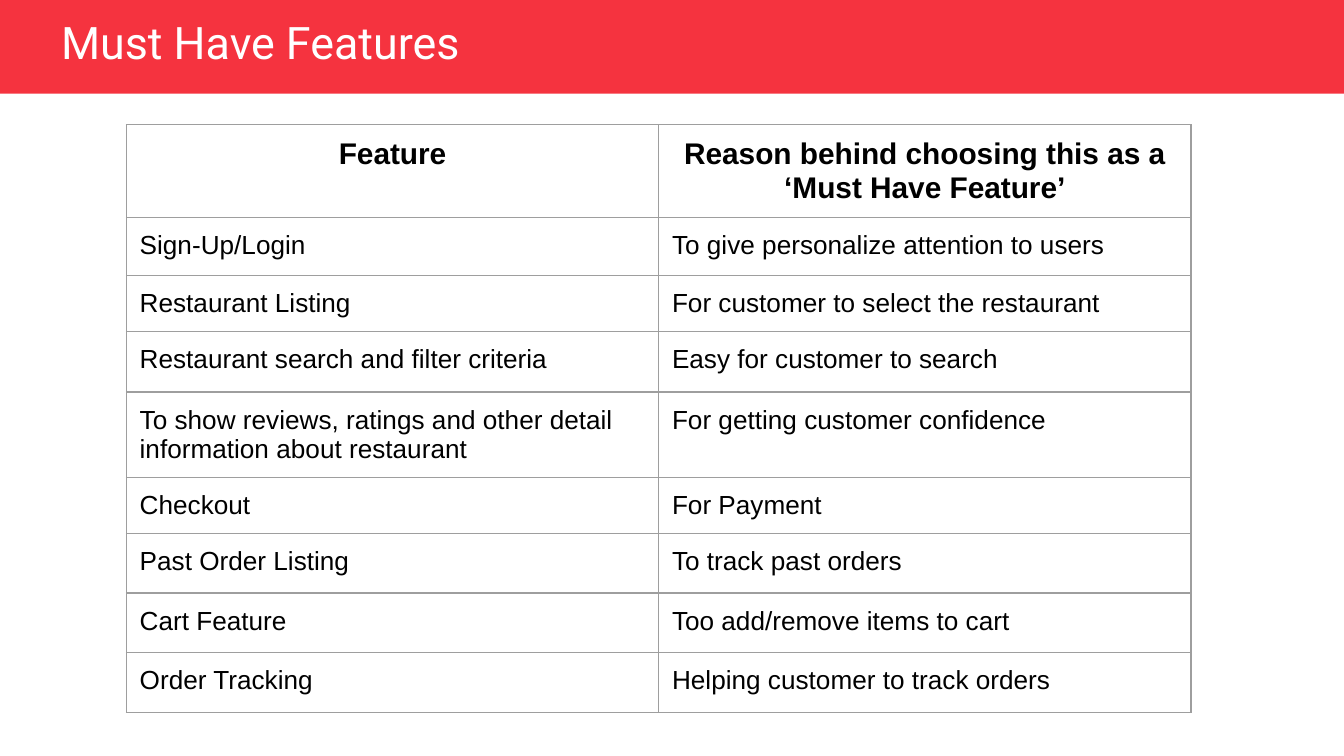
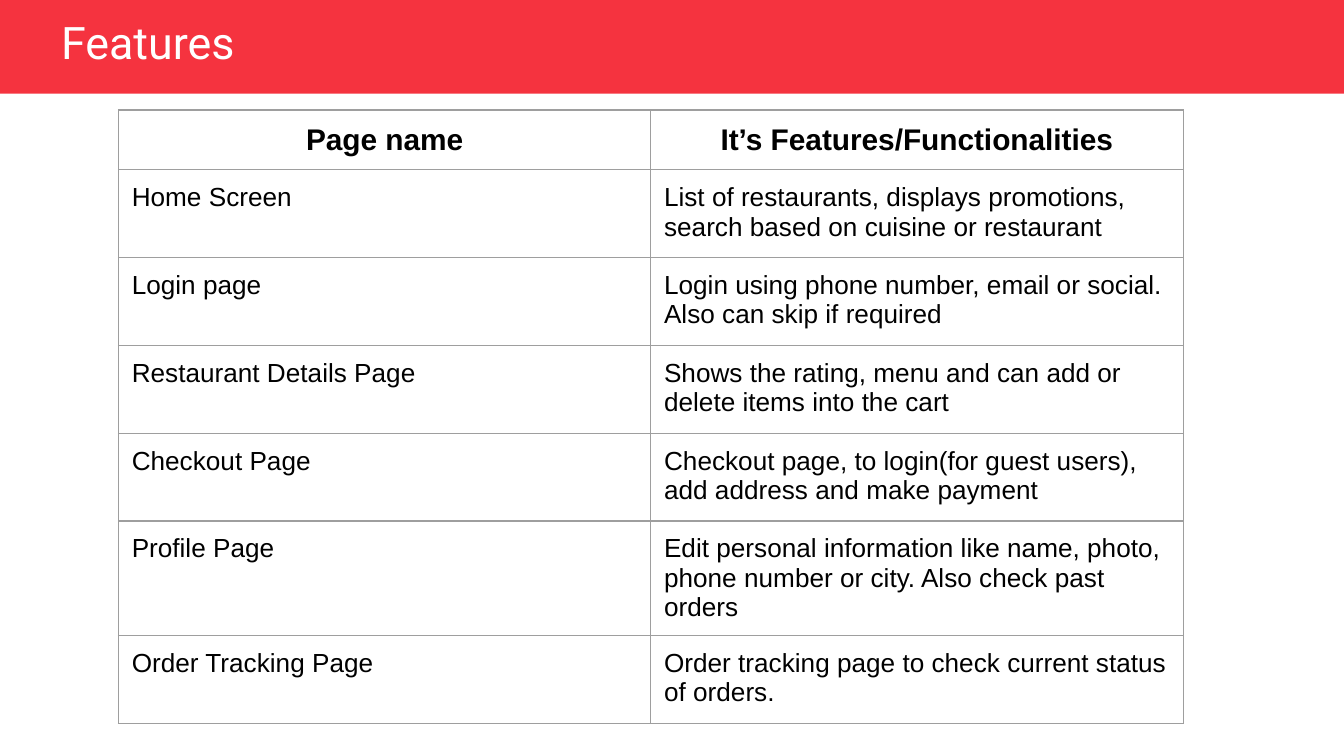
from lxml import etree
from pptx import Presentation
from pptx import util as u
from pptx.dml.color import RGBColor
from pptx.enum import shapes, text
from pptx.oxml import ns

RED = RGBColor(0xF5, 0x33, 0x3F)
WHITE = RGBColor(0xFF, 0xFF, 0xFF)
BLACK = RGBColor(0x00, 0x00, 0x00)
GREY = RGBColor(0x9E, 0x9E, 0x9E)

TITLE_FONT = {"name": "Roboto", "size": u.Pt(24), "bold": False}
HEAD_FONT = {"name": "Arial", "size": u.Pt(16), "bold": True}
CELL_FONT = {"name": "Arial", "size": u.Pt(14), "bold": False}
CELL_INSET = u.Cm(0.25)
COLUMN_WIDTH = u.Cm(10.06)

MUST_HAVES = [
    ("Feature", "Reason behind choosing this as a ‘Must Have Feature’"),
    ("Sign-Up/Login", "To give personalize attention to users"),
    ("Restaurant Listing", "For customer to select the restaurant"),
    ("Restaurant search and filter criteria", "Easy for customer to search"),
    ("To show reviews, ratings and other detail information about restaurant",
     "For getting customer confidence"),
    ("Checkout", "For Payment"),
    ("Past Order Listing", "To track past orders"),
    ("Cart Feature", "Too add/remove items to cart"),
    ("Order Tracking", "Helping customer to track orders"),
]
MUST_HAVE_HEIGHTS = [1.7, 1.09, 1.02, 1.15, 1.15, 1.06, 1.13, 1.13, 1.13]

PAGES = [
    ("Page name", "It’s Features/Functionalities"),
    ("Home Screen",
     "List of restaurants, displays promotions, search based on cuisine or restaurant"),
    ("Login page",
     "Login using phone number, email or social. Also can skip if required"),
    ("Restaurant Details Page",
     "Shows the rating, menu and can add or delete items into the cart"),
    ("Checkout Page",
     "Checkout page, to login(for guest users), add address and make payment"),
    ("Profile Page",
     "Edit personal information like name, photo, phone number or city. "
     "Also check past orders"),
    ("Order Tracking Page", "Order tracking page to check current status of orders."),
]
PAGE_HEIGHTS = [0.7] + [1.66] * 6


def assign(target, values):
    for name, value in values.items():
        setattr(target, name, value)


class Deck:
    """Holds the presentation, its shared style and the current slide."""

    def __init__(self):
        self.prs = Presentation()
        assign(self.prs, {"slide_width": u.Cm(25.4), "slide_height": u.Cm(14.29)})
        self.slide = None

    def add_slide(self, title):
        self.slide = self.prs.slides.add_slide(self.prs.slide_layouts[5])
        self.band()
        self.title(title)

    def band(self):
        """Draw the red strip and send it behind the title."""
        strip = self.slide.shapes.add_shape(
            shapes.MSO_SHAPE.RECTANGLE, 0, 0, self.prs.slide_width, u.Cm(1.77))
        strip.shadow.inherit = False
        strip.fill.solid()
        strip.fill.fore_color.rgb = RED
        strip.line.fill.background()
        self.slide.shapes._spTree.insert(2, strip._element)

    def title(self, wording):
        heading = self.slide.shapes.title
        assign(heading, {"left": u.Cm(0.9), "top": u.Cm(0.32),
                         "width": u.Cm(10.4), "height": u.Cm(1.07)})
        frame = heading.text_frame
        frame.text = wording
        assign(frame, {"word_wrap": True, "auto_size": text.MSO_AUTO_SIZE.NONE,
                       "vertical_anchor": text.MSO_ANCHOR.MIDDLE})
        line = frame.paragraphs[0]
        assign(line, {"alignment": text.PP_ALIGN.LEFT, "line_spacing": 0.9})
        self.font(line.runs[0], TITLE_FONT, WHITE)

    def font(self, run, style, color):
        assign(run.font, style)
        run.font.color.rgb = color

    def table(self, left, top, rows, heights):
        """Add a two-column grid; the first row is the heading."""
        grid = self.slide.shapes.add_table(
            len(rows), 2, left, top, 2 * COLUMN_WIDTH, u.Cm(sum(heights))).table
        assign(grid, {"first_row": False, "horz_banding": False})
        for column in grid.columns:
            column.width = COLUMN_WIDTH
        for i, (wordings, height) in enumerate(zip(rows, heights)):
            grid.rows[i].height = u.Cm(height)
            for j, wording in enumerate(wordings):
                self.cell(grid.cell(i, j), wording, heading=i == 0)

    def cell(self, cell, wording, heading):
        cell.text = wording
        for side in ("left", "top", "right", "bottom"):
            setattr(cell, f"margin_{side}", CELL_INSET)
        self.borders(cell)
        cell.fill.background()
        line = cell.text_frame.paragraphs[0]
        line.alignment = text.PP_ALIGN.CENTER if heading else text.PP_ALIGN.LEFT
        self.font(line.runs[0], HEAD_FONT if heading else CELL_FONT, BLACK)

    def borders(self, cell):
        properties = cell._tc.get_or_add_tcPr()
        for side in ("a:lnL", "a:lnR", "a:lnT", "a:lnB"):
            edge = etree.SubElement(properties, ns.qn(side), w=str(u.Pt(0.75)))
            fill = etree.SubElement(edge, ns.qn("a:solidFill"))
            etree.SubElement(fill, ns.qn("a:srgbClr"), val=str(GREY))


def main():
    deck = Deck()
    deck.add_slide("Must Have Features")
    deck.table(u.Cm(2.39), u.Cm(2.36), MUST_HAVES, MUST_HAVE_HEIGHTS)
    deck.add_slide("Features")
    deck.table(u.Cm(2.24), u.Cm(2.08), PAGES, PAGE_HEIGHTS)
    deck.prs.save("out.pptx")


if __name__ == "__main__":
    main()
